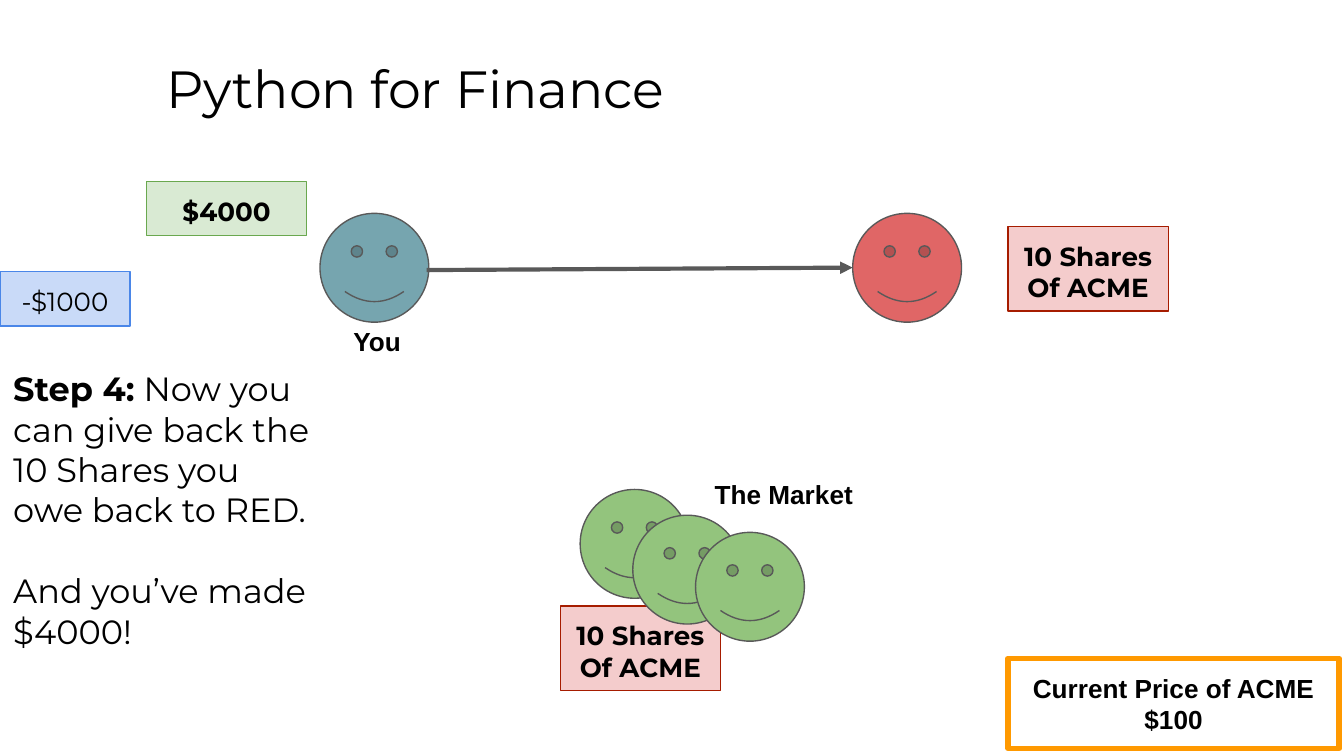
from lxml import etree
from pptx import Presentation
from pptx.dml.color import RGBColor
from pptx.enum.shapes import MSO_CONNECTOR as CONNECTOR, MSO_SHAPE as SHAPE
from pptx.enum.text import MSO_ANCHOR as ANCHOR, PP_ALIGN as ALIGN
from pptx.oxml.ns import qn
from pptx.util import Pt

BLACK = RGBColor(0x00, 0x00, 0x00)
GRAY = RGBColor(0x59, 0x59, 0x59)
TEAL = RGBColor(0x76, 0xA5, 0xAF)
RED = RGBColor(0xE0, 0x66, 0x66)
GREEN = RGBColor(0x93, 0xC4, 0x7D)
ORANGE = RGBColor(0xFF, 0x99, 0x00)
PINK = RGBColor(0xF4, 0xCC, 0xCC)
DARK_RED = RGBColor(0xA6, 0x1C, 0x00)
PALE_GREEN = RGBColor(0xD9, 0xEA, 0xD3)
MID_GREEN = RGBColor(0x6A, 0xA8, 0x4F)
PALE_BLUE = RGBColor(0xC9, 0xDA, 0xF8)
BLUE = RGBColor(0x4A, 0x86, 0xE8)
FACE_SIZE = 58.3
SHARES = "10 Shares\nOf ACME"

prs = Presentation()
prs.slide_width, prs.slide_height = Pt(720), Pt(405)
slide = prs.slides.add_slide(prs.slide_layouts[6])
shapes = slide.shapes


def add_figure(kind, left, top, width, height, fill, line, weight=0.75):
    figure = shapes.add_shape(kind, Pt(left), Pt(top), Pt(width), Pt(height))
    figure.shadow.inherit = False
    if fill is None:
        figure.fill.background()
    else:
        figure.fill.solid()
        figure.fill.fore_color.rgb = fill
    figure.line.color.rgb = line
    figure.line.width = Pt(weight)
    return figure


def write(shape, text, font, size, bold=False, align=ALIGN.LEFT, anchor=ANCHOR.TOP):
    frame = shape.text_frame
    frame.word_wrap = True
    frame.vertical_anchor = anchor
    frame.margin_left = frame.margin_right = Pt(7.2)
    frame.margin_top = frame.margin_bottom = Pt(7.2)
    frame.text = text
    for paragraph in frame.paragraphs:
        paragraph.alignment = align
        for run in paragraph.runs:
            run.font.name = font
            run.font.size = Pt(size)
            run.font.bold = bold
            run.font.color.rgb = BLACK
    return frame


for left, top, color in [(171.4, 114.3, TEAL), (456.8, 114.3, RED), (310.8, 262.2, GREEN)]:
    add_figure(SHAPE.SMILEY_FACE, left, top, FACE_SIZE, FACE_SIZE, color, GRAY)

for text, left, top, width, height, font, size, bold in [
    ("Python for Finance", 82.1, 23, 613.4, 45.4, "Montserrat", 28, False),
    ("You", 182.2, 167, 50.4, 26.6, "Arial", 14, True),
    ("The Market", 375.8, 249.1, 90.7, 26.6, "Arial", 14, True),
]:
    label = shapes.add_textbox(Pt(left), Pt(top), Pt(width), Pt(height))
    write(label, text, font, size, bold)

step = shapes.add_textbox(Pt(0), Pt(190.1), Pt(173.5), Pt(153.4))
step_frame = write(step, "Step 4:\nAnd you’ve made $4000!", "Montserrat", 18)
instruction, result = step_frame.paragraphs
instruction.runs[0].font.bold = True
detail = instruction.add_run()
detail.text = " Now you can give back the 10 Shares you owe back to RED."
detail.font.name = "Montserrat"
detail.font.size = Pt(18)
detail.font.color.rgb = BLACK
result.space_before = Pt(21.8)

price = add_figure(SHAPE.RECTANGLE, 540, 352.8, 177.5, 48.2, None, ORANGE, 3)
write(price, "Current Price of ACME\n$100", "Arial", 14, True, ALIGN.CENTER, ANCHOR.MIDDLE)

for text, left, top, width, height, fill, line, bold in [
    (SHARES, 300.2, 324.7, 85.9, 45.2, PINK, DARK_RED, True),
    ("$4000", 78.5, 97.2, 85.9, 29, PALE_GREEN, MID_GREEN, True),
    (SHARES, 540, 121.4, 85.9, 45.2, PINK, DARK_RED, True),
    ("-$1000", 0, 145.6, 69.8, 29, PALE_BLUE, BLUE, False),
]:
    holding = add_figure(SHAPE.RECTANGLE, left, top, width, height, fill, line)
    write(holding, text, "Montserrat", 14, bold, ALIGN.CENTER)

repayment = shapes.add_connector(CONNECTOR.STRAIGHT, Pt(228.6), Pt(144.7), Pt(456.8), Pt(143.4))
repayment.line.color.rgb = GRAY
repayment.line.width = Pt(2.25)
etree.SubElement(repayment.line._get_or_add_ln(), qn("a:tailEnd"), type="triangle")
etree.SubElement(repayment._element.spPr, qn("a:effectLst"))

for left, top in [(339, 276), (372.6, 285.2)]:
    add_figure(SHAPE.SMILEY_FACE, left, top, FACE_SIZE, FACE_SIZE, GREEN, GRAY)

prs.save("out.pptx")
